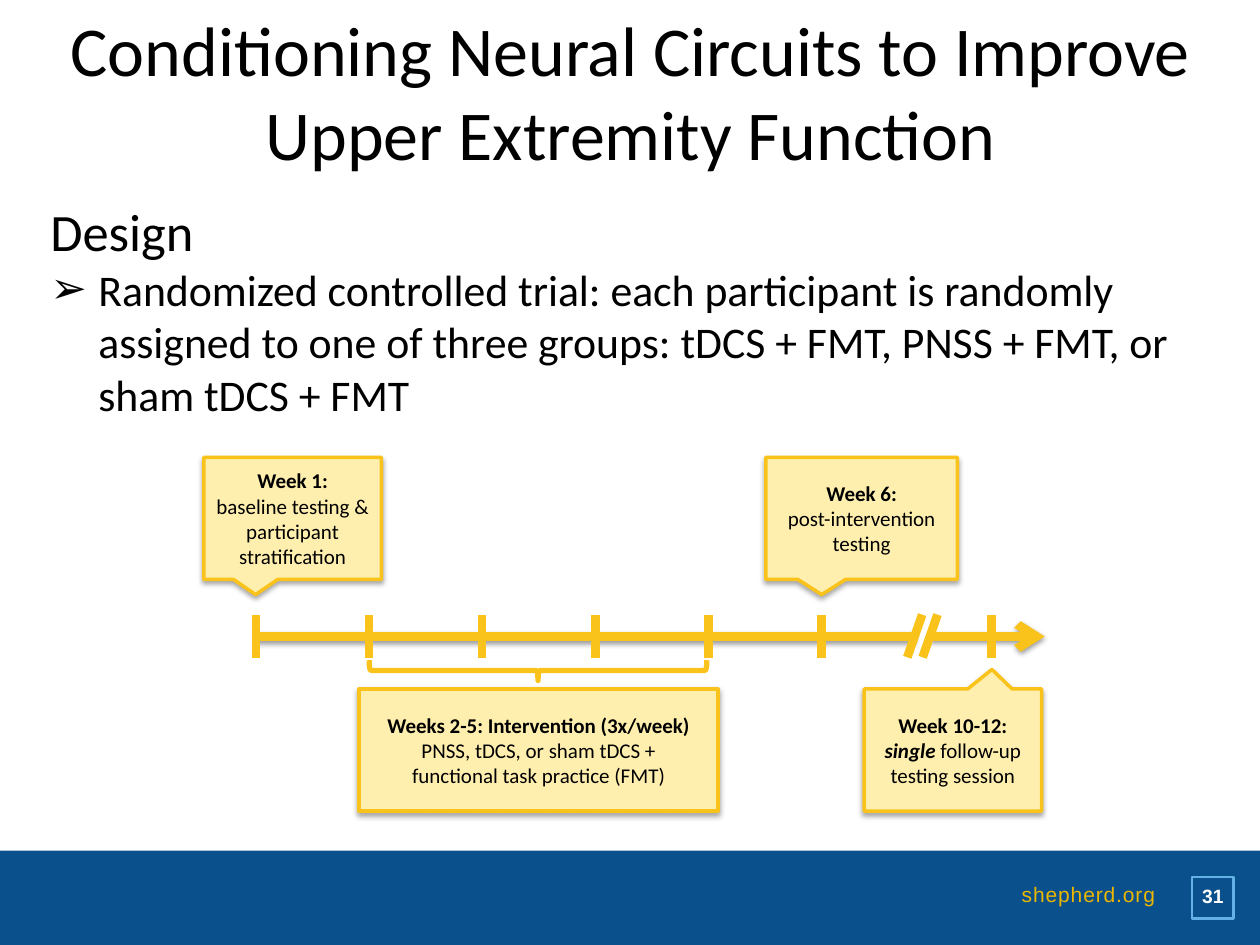
from pptx import Presentation
from pptx.dml.color import RGBColor
from pptx.enum.shapes import MSO_CONNECTOR, MSO_SHAPE
from pptx.enum.text import MSO_ANCHOR as ANCHOR, MSO_AUTO_SIZE, PP_ALIGN as ALIGN
from pptx.oxml import parse_xml
from pptx.oxml.ns import nsdecls
from pptx.util import Cm, Pt

BLACK = RGBColor(0x00, 0x00, 0x00)
WHITE = RGBColor(0xFF, 0xFF, 0xFF)
NAVY = RGBColor(0x0A, 0x50, 0x8C)
SKY = RGBColor(0x63, 0xB1, 0xE5)
GOLD = RGBColor(0xEB, 0xB7, 0x00)
AMBER = RGBColor(0xF9, 0xC3, 0x1B)
CREAM = RGBColor(0xFF, 0xEF, 0xAF)

AXIS_Y = 12.83
TICK_X, TICK_STEP, TICK_COUNT = 5.16, 2.28, 6


def set_attrs(obj, values):
    for name, value in values.items():
        setattr(obj, name, value)


def place(sp, left, top, width, height):
    set_attrs(sp, dict(left=Cm(left), top=Cm(top), width=Cm(width), height=Cm(height)))


def add_run(p, text, color=BLACK, **font):
    r = p.add_run()
    r.text = text
    set_attrs(r.font, {"name": "Calibri", **font})
    r.font.color.rgb = color
    return r


def set_effect(sp, distance=0, alpha=0):
    """Give a downward shadow, or an empty effect list when alpha is 0."""
    shadow = (
        f'<a:outerShdw blurRad="{Pt(3.1)}" dist="{Pt(distance)}" dir="5400000" rotWithShape="0">'
        f'<a:srgbClr val="000000"><a:alpha val="{alpha * 1000}"/></a:srgbClr></a:outerShdw>'
        if alpha else ""
    )
    sp._element.spPr.append(
        parse_xml(f'<a:effectLst {nsdecls("a")}>{shadow}</a:effectLst>'))


def add_shape(s, kind, box, fill=None, line=None, width=0):
    sp = s.shapes.add_shape(kind, *map(Cm, box))
    if fill is None:
        sp.fill.background()
    else:
        sp.fill.solid()
        sp.fill.fore_color.rgb = fill
    if line is None:
        sp.line.fill.background()
    else:
        sp.line.color.rgb = line
        sp.line.width = Pt(width)
    return sp


def add_line(s, x1, y1, x2, y2, shadow=False, arrow=False):
    sp = s.shapes.add_connector(MSO_CONNECTOR.STRAIGHT, *map(Cm, (x1, y1, x2, y2)))
    sp.line.color.rgb = AMBER
    sp.line.width = Pt(5)
    if arrow:
        sp.line._get_or_add_ln().append(
            parse_xml(f'<a:tailEnd {nsdecls("a")} type="arrow"/>'))
    set_effect(sp, *((1.6, 38) if shadow else ()))


def add_note(s, kind, box, paragraphs, tip=None):
    """Cream box; each paragraph is a list of (text, bold, italic)."""
    sp = add_shape(s, kind, box, CREAM, AMBER, 2)
    set_effect(sp, 1.8, 35)
    for i, value in enumerate(tip or ()):
        sp.adjustments[i] = value
    tf = sp.text_frame
    set_attrs(tf, dict(word_wrap=True, vertical_anchor=ANCHOR.MIDDLE))
    for i, runs in enumerate(paragraphs):
        p = tf.add_paragraph() if i else tf.paragraphs[0]
        p.alignment = ALIGN.CENTER
        for text, bold, italic in runs:
            add_run(p, text, size=Pt(12), bold=bold, italic=italic)


def add_footer_text(sp, text, align, spacing, color, size, bold=False, bottom=0):
    tf = sp.text_frame
    set_attrs(tf, dict(word_wrap=True, vertical_anchor=ANCHOR.MIDDLE, margin_left=0,
                       margin_right=0, margin_top=0, margin_bottom=Cm(bottom)))
    p = tf.paragraphs[0]
    set_attrs(p, dict(alignment=align, line_spacing=Pt(spacing)))
    return add_run(p, text, color, name="Arial", size=Pt(size), bold=bold)


def add_footer(s):
    bar = add_shape(s, MSO_SHAPE.RECTANGLE, (0, 17.15, 25.4, 1.9), NAVY)
    number = add_shape(s, MSO_SHAPE.RECTANGLE, (24.03, 17.68, 0.84, 0.84), None, SKY, 1.5)
    for sp in (bar, number):
        sp.shadow.inherit = False
    add_footer_text(number, "31", ALIGN.CENTER, 11, WHITE, 11, bold=True)
    site = s.shapes.add_textbox(*map(Cm, (19.05, 17.15, 4.24, 1.9)))
    r = add_footer_text(site, "shepherd.org", ALIGN.RIGHT, 16, GOLD, 12, bottom=0.2)
    r.font._element.set("spc", "50")


def fill_title(sp, text):
    place(sp, 0.86, 0, 23.7, 3.18)
    tf = sp.text_frame
    set_attrs(tf, dict(vertical_anchor=ANCHOR.TOP, auto_size=MSO_AUTO_SIZE.NONE))
    p = tf.paragraphs[0]
    p.alignment = ALIGN.CENTER
    add_run(p, text, size=Pt(40))


def fill_body(sp, items):
    """Each item is (text, size, bullet character or None)."""
    place(sp, 0.76, 3.28, 23.67, 5.92)
    tf = sp.text_frame
    set_attrs(tf, dict(vertical_anchor=ANCHOR.MIDDLE, auto_size=MSO_AUTO_SIZE.NONE))
    for i, (text, size, bullet) in enumerate(items):
        p = tf.add_paragraph() if i else tf.paragraphs[0]
        pPr = p._p.get_or_add_pPr()
        pPr.set("marL", str(Cm(0.97)))
        pPr.set("indent", str(-Cm(0.97)))
        mark = f'buChar {nsdecls("a")} char="{bullet}"' if bullet else f'buNone {nsdecls("a")}'
        pPr.append(parse_xml(f"<a:{mark}/>"))
        p.space_before = Pt(0)
        add_run(p, text, size=Pt(size))


def add_timeline(s):
    # Axis with its break and arrow
    add_line(s, 18.75, AXIS_Y, 21.06, AXIS_Y, shadow=True, arrow=True)
    add_line(s, 18.44, AXIS_Y, TICK_X, AXIS_Y, shadow=True)
    for x in (18.59, 18.9):
        add_line(s, x, 12.39, x - 0.3, 13.25)

    # Weekly ticks and the follow-up tick
    for x in [TICK_X + i * TICK_STEP for i in range(TICK_COUNT)] + [19.99]:
        add_line(s, x, AXIS_Y - 0.43, x, AXIS_Y + 0.43)

    # Brace over the intervention weeks
    brace = add_shape(s, MSO_SHAPE.RIGHT_BRACE, (10.64, 10.11, 0.41, 6.81), None, AMBER, 3)
    brace.rotation = 90
    brace.shadow.inherit = False


def add_notes_on_timeline(s):
    callout = MSO_SHAPE.RECTANGULAR_CALLOUT
    add_note(s, callout, (4.11, 9.22, 3.58, 2.46), [
        [("Week 1:", True, False)],
        [("baseline testing & participant stratification", False, False)]])
    add_note(s, callout, (15.44, 9.22, 3.86, 2.46), [
        [("Week 6:", True, False)],
        [("post-intervention testing", False, False)]])
    add_note(s, callout, (17.42, 13.89, 3.58, 2.46), [
        [("Week 10-12:", True, False)],
        [("single", True, True), (" follow-up testing session", False, False)]],
        tip=(0.22, -0.66))
    add_note(s, MSO_SHAPE.RECTANGLE, (7.24, 13.89, 7.24, 2.46), [
        [("Weeks 2-5: Intervention (3x/week)", True, False)],
        [("PNSS, tDCS, or sham tDCS +", False, False)],
        [("functional task practice (FMT)", False, False)]])


def main():
    prs = Presentation()
    set_attrs(prs, dict(slide_width=Cm(25.4), slide_height=Cm(19.05)))
    s = prs.slides.add_slide(prs.slide_layouts[1])
    add_footer(s)
    fill_title(s.shapes.title,
               "Conditioning Neural Circuits to Improve Upper Extremity Function")
    fill_body(s.placeholders[1], [
        ("Design", 30, None),
        ("Randomized controlled trial: each participant is randomly assigned to one of "
         "three groups: tDCS + FMT, PNSS + FMT, or sham tDCS + FMT", 25, "➢")])
    add_timeline(s)
    add_notes_on_timeline(s)
    prs.save("out.pptx")


if __name__ == "__main__":
    main()
